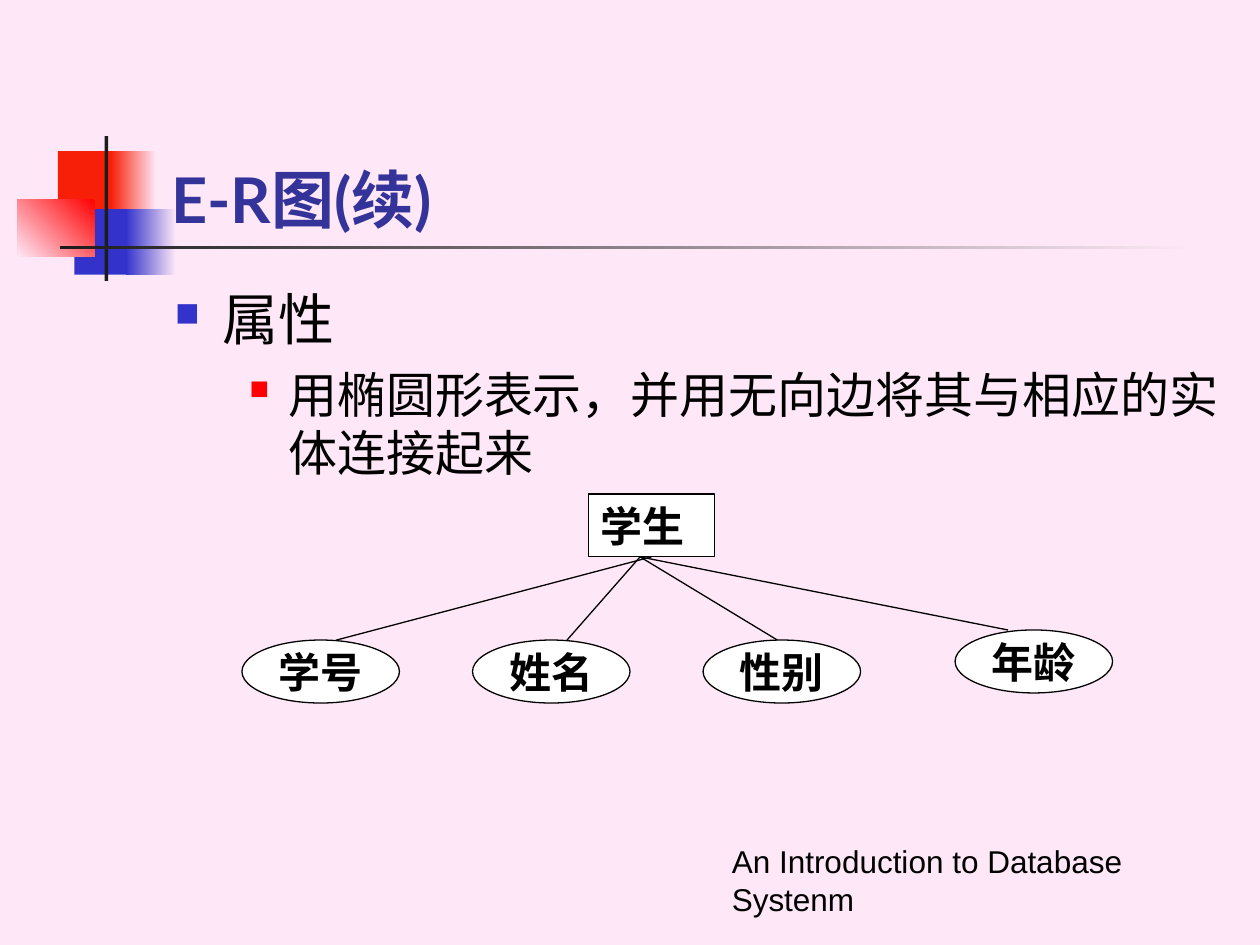
from lxml import etree
from pptx import Presentation
from pptx.dml.color import RGBColor
from pptx.enum import shapes, text
from pptx.oxml.ns import qn
from pptx.util import Inches, Pt

COLORS = {
    "page": "FEE8F7", "orange": "F81F08", "red": "FF0000", "blue": "3333CC",
    "title": "333399", "rule": "1C1C1C", "black": "000000", "white": "FFFFFF",
}
TITLE = "E-R图(续)"
# text, level, size, space before, left margin, hanging indent, bullet colour, bullet percent
BULLETS = [
    ("属性", 0, 32, 0, 0.38, 0.38, "blue", 60),
    ("用椭圆形表示，并用无向边将其与相应的实体连接起来", 1, 28, 7, 0.9, 0.31, "red", 55),
]
FOOTER = "An Introduction to Database Systenm"

# left, top, width, height, colours (one: solid, two: gradient), gradient angle
DECORATION = [
    (0.46, 1.2, 0.48, 0.52, ["orange"], 0),
    (0.88, 1.2, 0.36, 0.52, ["page", "orange"], 180),
    (0.59, 1.66, 0.46, 0.52, ["blue"], 0),
    (1, 1.66, 0.4, 0.52, ["page", "blue"], 180),
    (0.14, 1.58, 0.61, 0.46, ["red", "page"], 225),
    (0.83, 1.08, 0.03, 1.15, ["rule"], 0),
    (0.48, 1.95, 9, 0.03, ["page", "rule"], 180),
]

ENTITY = ("学生", 4.67, 3.92)
ENTITY_SIZE = (1, 0.5)
ATTRIBUTE_SIZE = (1.25, 0.5)
# text, left, top, edge start x, edge end x
ATTRIBUTES = [
    ("学号", 1.92, 5.08, 5.17, 2.67),
    ("姓名", 3.75, 5.08, 5.08, 4.5),
    ("性别", 5.58, 5.08, 5.08, 6.17),
    ("年龄", 7.58, 5, 5.08, 8),
]


def rgb(name):
    return RGBColor.from_string(COLORS[name])


def style(paragraph, size, font, color="black", bold=False):
    for run in paragraph.runs:
        run.font.size = Pt(size)
        run.font.name = font
        run.font.bold = bold
        run.font.color.rgb = rgb(color)


def add_box(slide, left, top, width, height, anchor):
    box = slide.shapes.add_textbox(*map(Inches, (left, top, width, height)))
    frame = box.text_frame
    frame.word_wrap = True
    frame.vertical_anchor = anchor
    return frame


def add_bullet(paragraph, margin, hanging, color, percent):
    props = paragraph._p.get_or_add_pPr()
    props.set("marL", str(Inches(margin)))
    props.set("indent", str(-Inches(hanging)))
    bullet_color = etree.SubElement(props, qn("a:buClr"))
    etree.SubElement(bullet_color, qn("a:srgbClr"), val=COLORS[color])
    etree.SubElement(props, qn("a:buSzPct"), val=str(percent * 1000))
    etree.SubElement(props, qn("a:buChar"), char="■")


def add_node(slide, kind, label, left, top, size, align, anchor, wrap):
    node = slide.shapes.add_shape(kind, *map(Inches, (left, top, *size)))
    node.shadow.inherit = False
    node.fill.solid()
    node.fill.fore_color.rgb = rgb("white")
    node.line.color.rgb = rgb("black")
    node.line.width = Pt(0.75)
    frame = node.text_frame
    frame.text = label
    frame.word_wrap = wrap
    frame.vertical_anchor = anchor
    frame.paragraphs[0].alignment = align
    style(frame.paragraphs[0], 24, "Times New Roman", bold=True)
    return node


def main():
    prs = Presentation()
    prs.slide_width, prs.slide_height = Inches(10), Inches(7.5)
    slide = prs.slides.add_slide(prs.slide_layouts[6])
    slide.background.fill.solid()
    slide.background.fill.fore_color.rgb = rgb("page")

    # Corner blocks and title rule
    for *place, colors, angle in DECORATION:
        block = slide.shapes.add_shape(shapes.MSO_SHAPE.RECTANGLE, *map(Inches, place))
        block.shadow.inherit = False
        block.line.fill.background()
        if len(colors) == 1:
            block.fill.solid()
            block.fill.fore_color.rgb = rgb(colors[0])
        else:
            block.fill.gradient()
            block.fill.gradient_angle = angle
            for stop, color in zip(block.fill.gradient_stops, colors):
                stop.color.rgb = rgb(color)

    # Title
    title = add_box(slide, 1.26, 0.67, 8.52, 1.25, text.MSO_ANCHOR.BOTTOM)
    title.text = TITLE
    style(title.paragraphs[0], 36, "Lato", "title", bold=True)

    # Bulleted body
    body = add_box(slide, 1.29, 2.21, 8.5, 4.5, text.MSO_ANCHOR.TOP)
    body.text = "\n".join(bullet[0] for bullet in BULLETS)
    for paragraph, bullet in zip(body.paragraphs, BULLETS):
        _, level, size, before, margin, hanging, color, percent = bullet
        paragraph.level = level
        paragraph.space_before = Pt(before)
        add_bullet(paragraph, margin, hanging, color, percent)
        style(paragraph, size, "Lato")

    # Entity and its attributes
    entity = add_node(slide, shapes.MSO_SHAPE.RECTANGLE, *ENTITY, ENTITY_SIZE,
                      text.PP_ALIGN.LEFT, text.MSO_ANCHOR.TOP, True)
    entity_middle = ENTITY[1] + ENTITY_SIZE[0] / 2
    entity_bottom = ENTITY[2] + ENTITY_SIZE[1]
    for label, left, top, start_x, end_x in ATTRIBUTES:
        add_node(slide, shapes.MSO_SHAPE.OVAL, label, left, top, ATTRIBUTE_SIZE,
                 text.PP_ALIGN.CENTER, text.MSO_ANCHOR.MIDDLE, False)
        edge = slide.shapes.add_connector(
            shapes.MSO_CONNECTOR.STRAIGHT,
            *map(Inches, (start_x, entity_bottom, end_x, top)))
        if abs(start_x - entity_middle) < 0.01:
            edge.begin_connect(entity, 2)
        edge.line.color.rgb = rgb("black")
        edge.line.width = Pt(0.75)
        etree.SubElement(edge._element.spPr, qn("a:effectLst"))

    # Footer
    footer = add_box(slide, 5.71, 6.83, 4.04, 0.5, text.MSO_ANCHOR.BOTTOM)
    footer.text = FOOTER
    style(footer.paragraphs[0], 18, "Arial")

    prs.save("out.pptx")


if __name__ == "__main__":
    main()
